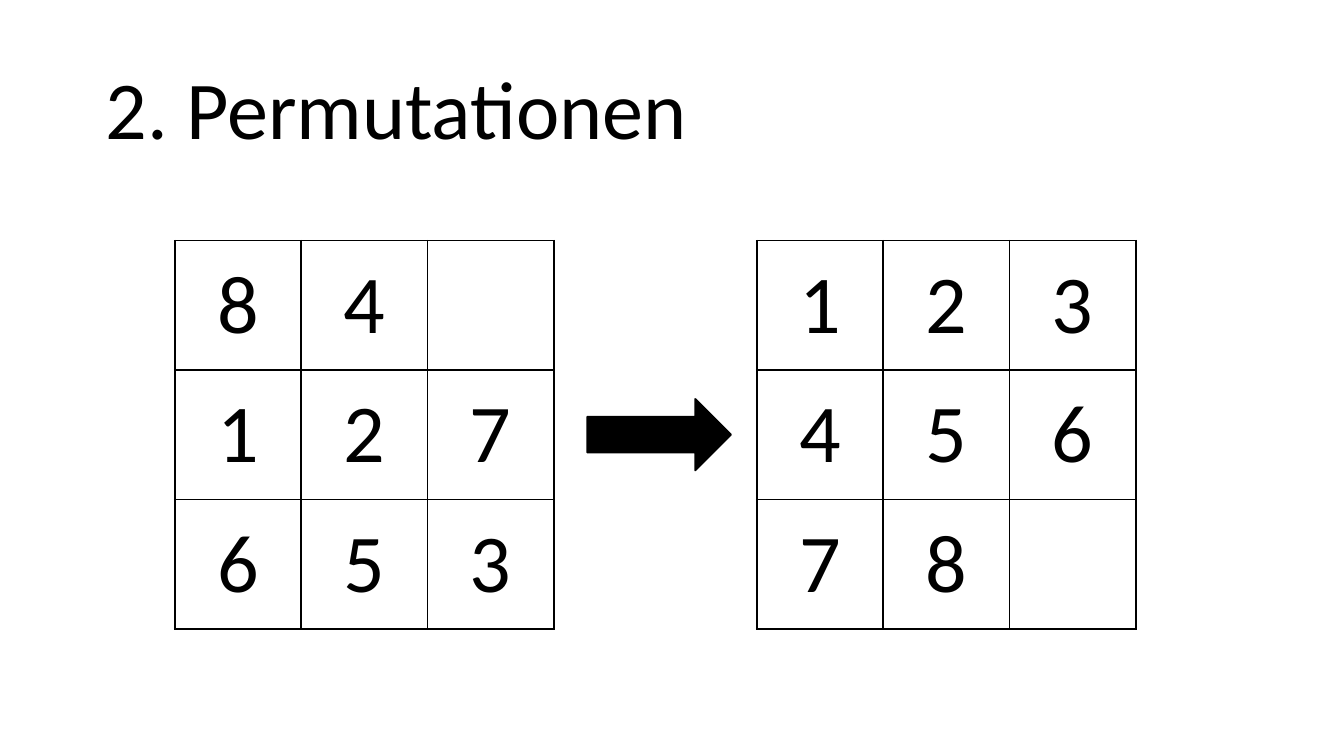
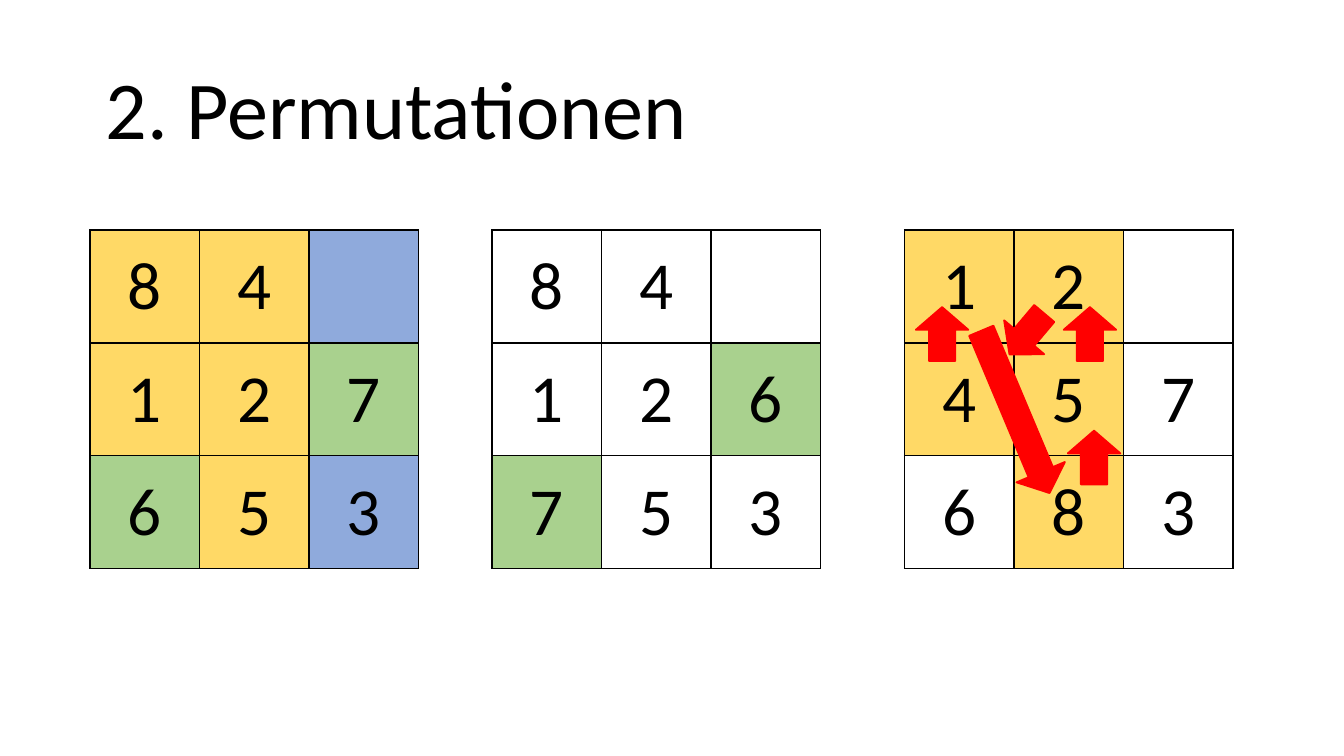
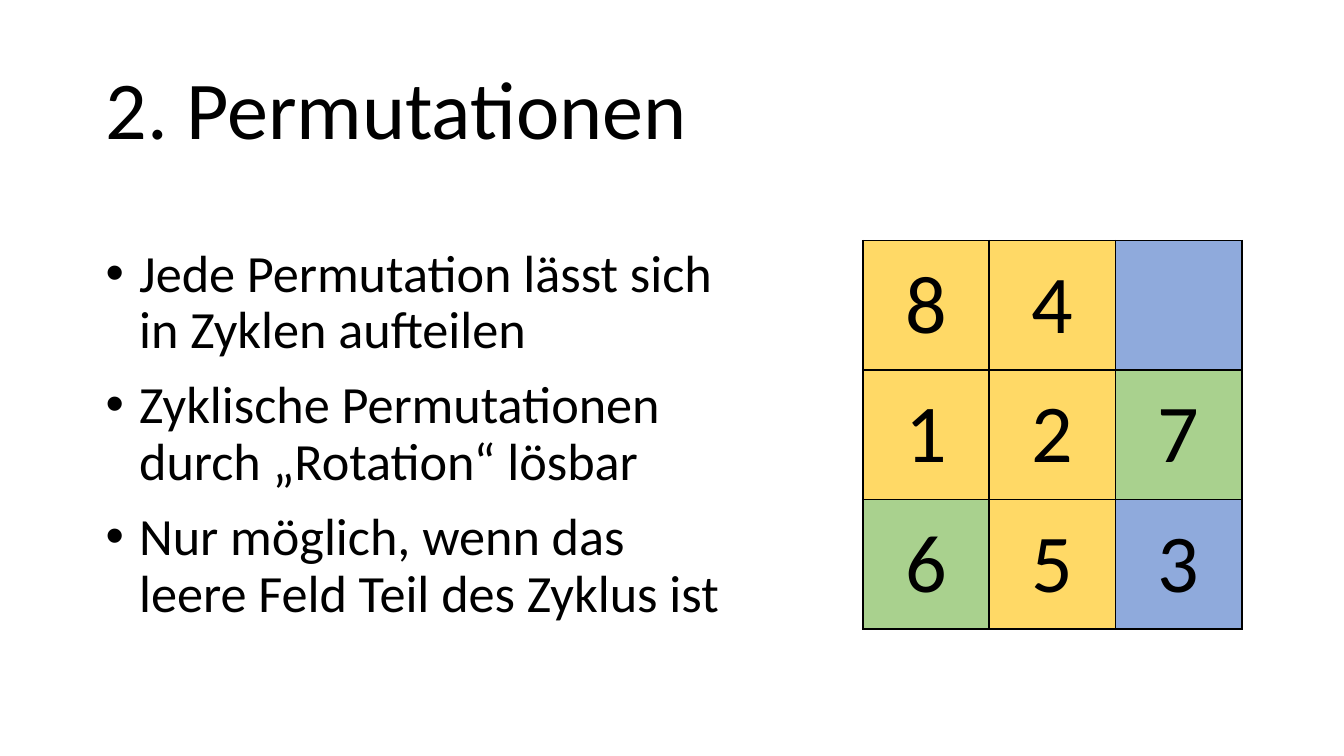
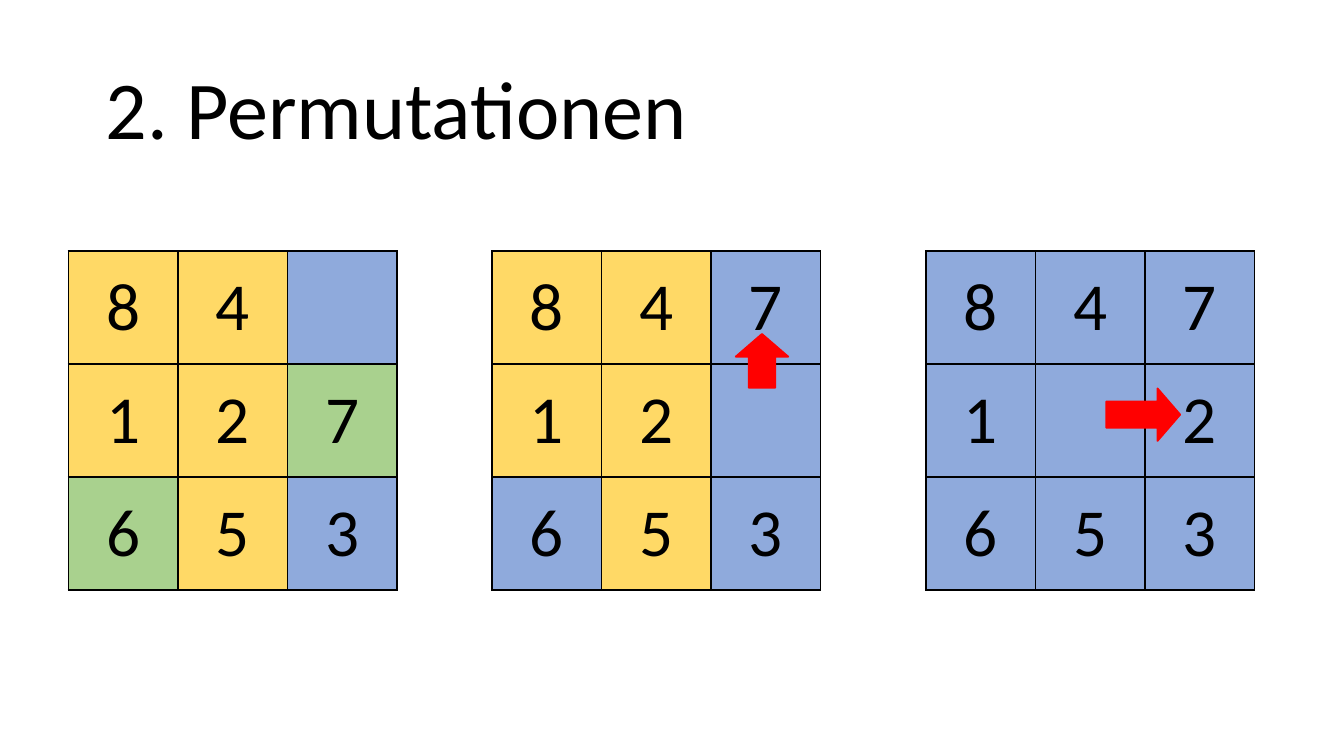
from lxml import etree
from pptx import Presentation
from pptx import util as u
from pptx.dml import color
from pptx.enum import shapes, text
from pptx.oxml import ns

COLORS = {
    "black": "000000",
    "white": "FFFFFF",
    "red": "FF0000",
    "yellow": "FFD966",
    "blue": "8FAADC",
    "green": "A9D18E",
}
CELL_COLORS = {"w": "white", "y": "yellow", "b": "blue", "g": "green"}

LARGE = {"width": 67.7, "height": 69.35, "size": 44}
SMALL = {"width": 58.65, "height": 60.5, "size": 36}
START = ("84.", "127", "653")
START_CYCLES = ("yyb", "yyg", "gyb")


class Deck:
    font = "Calibri"
    title = "2. Permutationen"

    def __init__(self):
        self.presentation = Presentation()
        self.presentation.slide_width = u.Pt(720)
        self.presentation.slide_height = u.Pt(405)
        self.slide = None

    def rgb(self, name):
        return color.RGBColor.from_string(COLORS[name])

    def add_slide(self):
        layout = self.presentation.slide_layouts[6]
        self.slide = self.presentation.slides.add_slide(layout)
        self.add_text([self.title], 49.5, 21.6, 569, 78.3, 44,
                      text.MSO_ANCHOR.MIDDLE)

    def format_runs(self, paragraph, size):
        for run in paragraph.runs:
            run.font.name = self.font
            run.font.size = u.Pt(size)
            run.font.color.rgb = self.rgb("black")

    def add_text(self, lines, left, top, width, height, size,
                 anchor=text.MSO_ANCHOR.TOP):
        box = self.slide.shapes.add_textbox(
            u.Pt(left), u.Pt(top), u.Pt(width), u.Pt(height))
        text_frame = box.text_frame
        text_frame.word_wrap = True
        text_frame.vertical_anchor = anchor
        text_frame.text = "\n".join(lines)
        for paragraph in text_frame.paragraphs:
            paragraph.line_spacing = 0.9
            self.format_runs(paragraph, size)
        return text_frame

    def add_bullets(self, lines, left, top, width, height, size):
        text_frame = self.add_text(lines, left, top, width, height, size)
        for paragraph in text_frame.paragraphs:
            paragraph.space_before = u.Pt(10)
            properties = paragraph._p.get_or_add_pPr()
            properties.set("marL", str(u.Pt(18)))
            properties.set("indent", str(-u.Pt(18)))
            font = etree.SubElement(properties, ns.qn("a:buFont"))
            font.set("typeface", "Arial")
            bullet = etree.SubElement(properties, ns.qn("a:buChar"))
            bullet.set("char", "•")

    def add_borders(self, cell):
        properties = cell._tc.get_or_add_tcPr()
        for index, side in enumerate("LRTB"):
            line = etree.Element(ns.qn(f"a:ln{side}"), w=str(u.Pt(1)))
            fill = etree.SubElement(line, ns.qn("a:solidFill"))
            etree.SubElement(fill, ns.qn("a:srgbClr"), val=COLORS["black"])
            properties.insert(index, line)

    def add_board(self, left, top, style, numbers, fills=None):
        table = self.slide.shapes.add_table(
            3, 3, u.Pt(left), u.Pt(top),
            u.Pt(3 * style["width"]), u.Pt(3 * style["height"])).table
        table.first_row = False
        table.horz_banding = False
        for index in range(3):
            table.columns[index].width = u.Pt(style["width"])
            table.rows[index].height = u.Pt(style["height"])
        for index, cell in enumerate(table.iter_cells()):
            row, column = divmod(index, 3)
            number = numbers[row][column]
            if number != ".":
                cell.text_frame.text = number
            cell.vertical_anchor = text.MSO_ANCHOR.MIDDLE
            paragraph = cell.text_frame.paragraphs[0]
            paragraph.alignment = text.PP_ALIGN.CENTER
            self.format_runs(paragraph, style["size"])
            if fills:
                cell.fill.solid()
                cell.fill.fore_color.rgb = self.rgb(
                    CELL_COLORS[fills[row][column]])
            else:
                cell.fill.background()
            self.add_borders(cell)

    def add_arrow(self, left, top, width=28.8, height=28.1, rotation=0,
                  name="red", head=0.431):
        shape = self.slide.shapes.add_shape(
            shapes.MSO_SHAPE.RIGHT_ARROW,
            u.Pt(left), u.Pt(top), u.Pt(width), u.Pt(height))
        shape.adjustments[1] = head
        shape.rotation = rotation
        shape.shadow.inherit = False
        shape.fill.solid()
        shape.fill.fore_color.rgb = self.rgb(name)
        shape.line.color.rgb = self.rgb(name)
        shape.line.width = u.Pt(1)


def add_goal_slide(deck):
    deck.add_slide()
    deck.add_board(405.4, 128.9, LARGE, ("123", "456", "78."))
    deck.add_board(93.6, 128.9, LARGE, START)
    deck.add_arrow(314.6, 213.8, 77, 38.2, name="black", head=0.5)


def add_cycles_slide(deck):
    deck.add_slide()
    top = 123.1
    deck.add_board(48.2, top, SMALL, START, START_CYCLES)
    deck.add_board(263.5, top, SMALL, ("84.", "126", "753"),
                   ("www", "wwg", "gww"))
    deck.add_board(484.6, top, SMALL, ("12.", "457", "683"),
                   ("yyw", "yyw", "wyw"))
    for left, arrow_top, rotation in (
            (490.3, 164.9, 270), (569.5, 164.9, 270),
            (535.7, 164.9, 130.2), (571.7, 231.1, 270)):
        deck.add_arrow(left, arrow_top, rotation=rotation)
    deck.add_arrow(496.8, 206.6, width=94.3, rotation=67.2)


def add_rules_slide(deck):
    deck.add_slide()
    deck.add_bullets([
        "Jede Permutation lässt sich in Zyklen aufteilen",
        "Zyklische Permutationen durch „Rotation“ lösbar",
        "Nur möglich, wenn das leere Feld Teil des Zyklus ist",
    ], 49.5, 128.9, 355.7, 236.2, 28)
    deck.add_board(462.2, 128.9, LARGE, START, START_CYCLES)


def add_merging_slide(deck):
    deck.add_slide()
    top = 134.6
    deck.add_board(36.7, top, SMALL, START, START_CYCLES)
    deck.add_board(263.5, top, SMALL, ("847", "12.", "653"),
                   ("yyb", "yyb", "byb"))
    deck.add_board(496.1, top, SMALL, ("847", "1.2", "653"), ["bbb"] * 3)
    deck.add_arrow(592.6, 208.1, width=39.6)
    deck.add_arrow(393.8, 179.3, rotation=270)


def main():
    deck = Deck()
    add_goal_slide(deck)
    add_cycles_slide(deck)
    add_rules_slide(deck)
    add_merging_slide(deck)
    deck.presentation.save("out.pptx")


if __name__ == "__main__":
    main()
